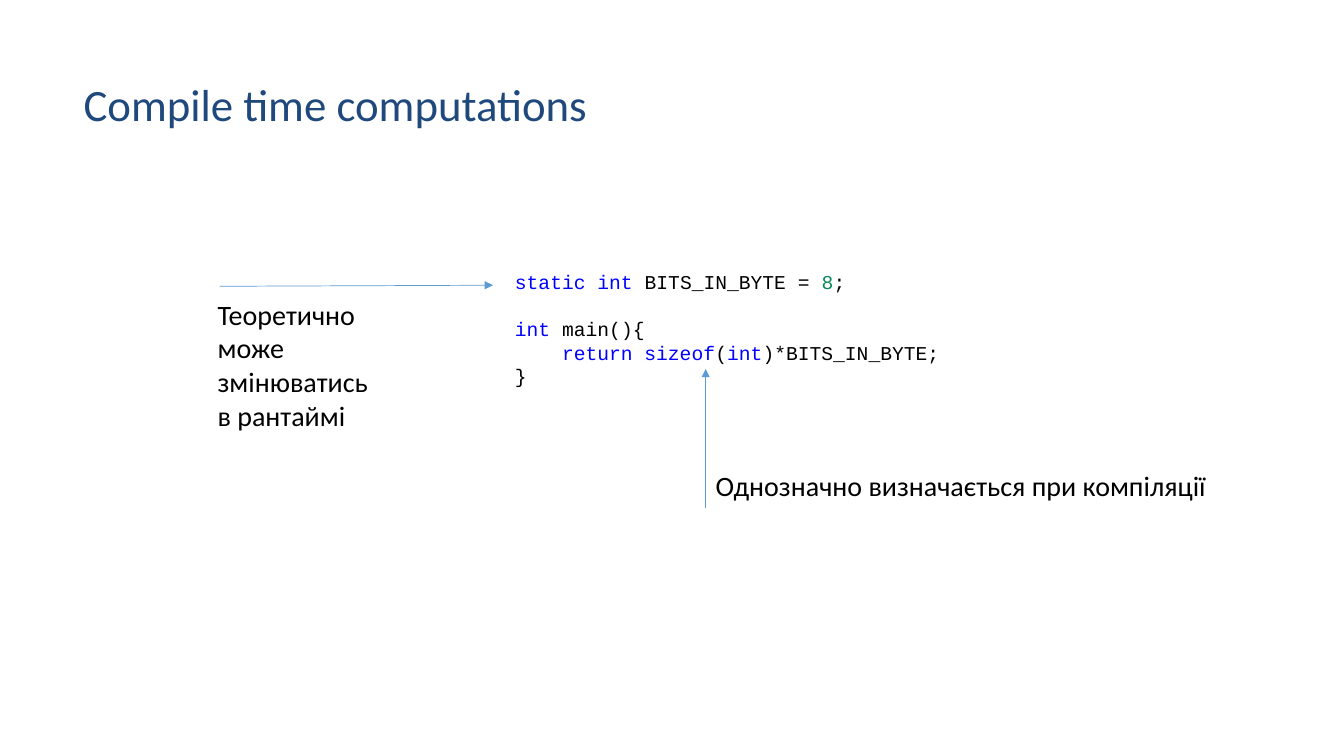
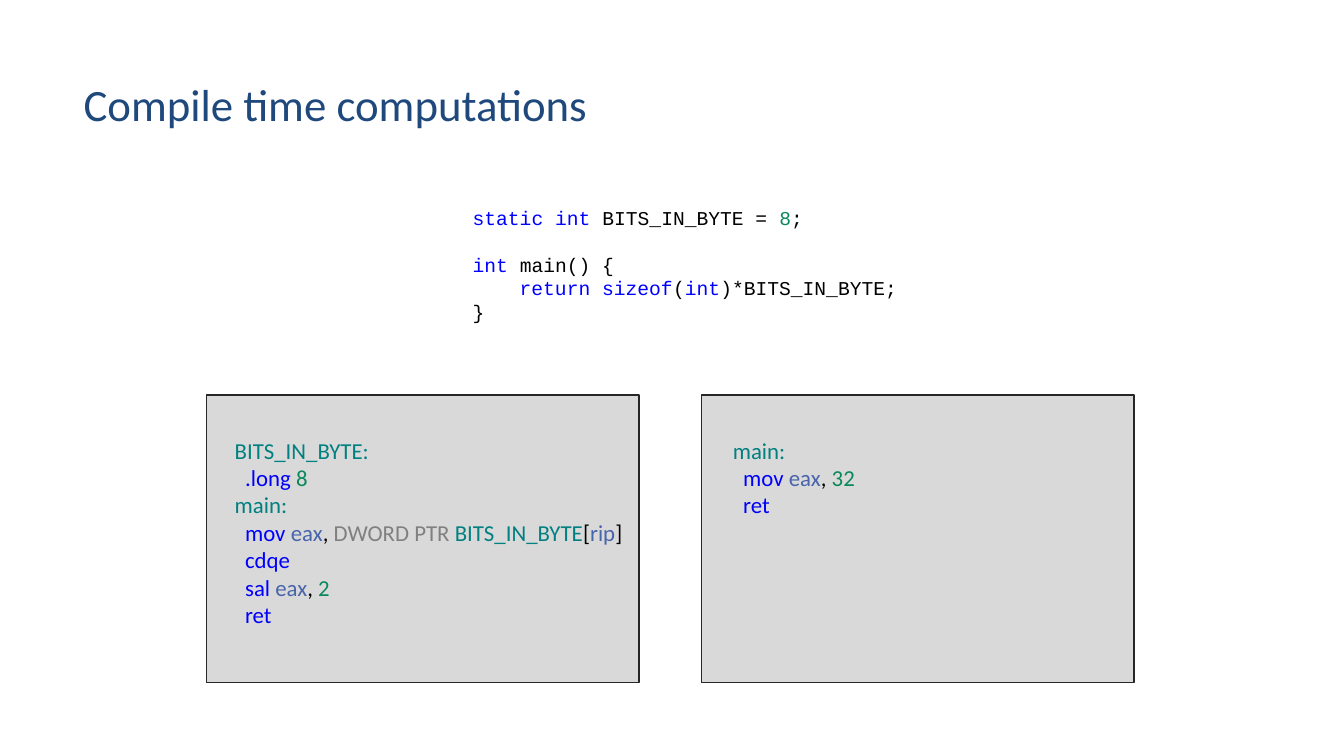
from dataclasses import dataclass

from lxml.etree import SubElement
from pptx import Presentation
from pptx.dml.color import RGBColor as RGB
from pptx.enum.shapes import MSO_CONNECTOR as Conn, MSO_SHAPE as Shape
from pptx.enum.text import MSO_AUTO_SIZE as AutoSize
from pptx.oxml.ns import qn
from pptx.slide import Slide
from pptx.util import Emu, Inches, Pt

COLORS = {
    "title": "1F497D", "text": "000000", "keyword": "0000FF", "number": "09885A",
    "label": "008080", "register": "4864AA", "size": "808080",
    "arrow": "5B9BD5", "panel": "D9D9D9", "border": "262626",
}
WIDTH, HEIGHT = Inches(13.33), Inches(7.5)
GRID = 100  # columns and rows on a slide


@dataclass(frozen=True)
class Box:
    """A place on the grid: column, row, and the columns and rows it spans."""
    col: float
    row: float
    cols: float
    rows: float


@dataclass(frozen=True)
class Style:
    font: str
    size: float
    indent: float = 0  # points per indent level
    leading: float | None = None  # exact line height in points


@dataclass(frozen=True)
class Line:
    """One paragraph, made of (colour name, text) runs."""
    runs: tuple[tuple[str, str], ...]
    level: int = 0
    gap: float = 0  # points above


@dataclass(frozen=True)
class Arrow:
    start: tuple[float, float]
    end: tuple[float, float]


@dataclass(frozen=True)
class Panel:
    box: Box
    text_box: Box
    lines: list[Line]


TITLE = Style("Calibri", 32)
NOTE = Style("Calibri", 20)
CODE = Style("Courier New", 14, indent=33.6, leading=16.8)
ASM = Style("Calibri", 16.3, indent=7.4)


def x(cols: float) -> Emu:
    return Emu(round(WIDTH * cols / GRID))


def y(rows: float) -> Emu:
    return Emu(round(HEIGHT * rows / GRID))


def place(box: Box) -> tuple[Emu, Emu, Emu, Emu]:
    return x(box.col), y(box.row), x(box.cols), y(box.rows)


def color(name: str) -> RGB:
    return RGB.from_string(COLORS[name])


def add_text(s: Slide, box: Box, style: Style, lines: list[Line], wrap: bool = True) -> None:
    tf = s.shapes.add_textbox(*place(box)).text_frame
    tf.word_wrap = wrap
    tf.auto_size = AutoSize.SHAPE_TO_FIT_TEXT
    for i, line in enumerate(lines):
        p = tf.add_paragraph() if i else tf.paragraphs[0]
        p.space_before = Pt(line.gap)
        if style.leading:
            p.line_spacing = Pt(style.leading)
        if line.level:
            p._p.get_or_add_pPr().set("marL", str(Pt(style.indent * line.level)))
        for name, text in line.runs:
            r = p.add_run()
            r.text = text
            r.font.name, r.font.size = style.font, Pt(style.size)
            r.font.color.rgb = color(name)


def add_note(s: Slide, box: Box, text: str, wrap: bool = True) -> None:
    add_text(s, box, NOTE, [Line((("text", text),))], wrap)


def add_arrow(s: Slide, arrow: Arrow) -> None:
    (x1, y1), (x2, y2) = arrow.start, arrow.end
    c = s.shapes.add_connector(Conn.STRAIGHT, x(x1), y(y1), x(x2), y(y2))
    c.line.color.rgb, c.line.width = color("arrow"), Pt(0.5)
    SubElement(c.line._get_or_add_ln(), qn("a:tailEnd"), type="triangle")
    SubElement(c._element.spPr, qn("a:effectLst"))


def add_panel(s: Slide, panel: Panel) -> None:
    sp = s.shapes.add_shape(Shape.RECTANGLE, *place(panel.box))
    sp.shadow.inherit = False
    sp.fill.solid()
    sp.fill.fore_color.rgb = color("panel")
    sp.line.color.rgb, sp.line.width = color("border"), Pt(1)
    add_text(s, panel.text_box, ASM, panel.lines)


def new_slide(prs: Presentation) -> Slide:
    """A blank slide with the shared title."""
    s = prs.slides.add_slide(prs.slide_layouts[6])
    title = Line((("title", "Compile time computations"),))
    add_text(s, Box(5.48, 9.47, 39.46, 8.53), TITLE, [title], wrap=False)
    return s


def source_code(signature: str) -> list[Line]:
    return [
        Line((("keyword", "static int"), ("text", " BITS_IN_BYTE = "),
              ("number", "8"), ("text", ";"))),
        Line((("keyword", "int"), ("text", f" {signature}")), gap=CODE.leading),
        Line((("keyword", "return sizeof"), ("text", "("), ("keyword", "int"),
              ("text", ")*BITS_IN_BYTE;")), level=1),
        Line((("text", "}"),)),
    ]


# Assembly listings
MAIN = Line((("label", "main:"),))
RET = Line((("keyword", "ret"),), level=1)
RUNTIME_ASM = [
    Line((("label", "BITS_IN_BYTE:"),)),
    Line((("keyword", ".long "), ("number", "8")), level=1),
    MAIN,
    Line((("keyword", "mov "), ("register", "eax"), ("text", ", "),
          ("size", "DWORD PTR "), ("label", "BITS_IN_BYTE"),
          ("text", "["), ("register", "rip"), ("text", "]")), level=1),
    Line((("keyword", "cdqe"),), level=1),
    Line((("keyword", "sal "), ("register", "eax"), ("text", ", "),
          ("number", "2")), level=1),
    RET,
]
CONSTANT_ASM = [
    MAIN,
    Line((("keyword", "mov "), ("register", "eax"), ("text", ", "),
          ("number", "32")), level=1),
    RET,
]
PANELS = [
    Panel(Box(15.38, 52.27, 32.18, 38), Box(16.73, 57.07, 30.83, 26.93), RUNTIME_ASM),
    Panel(Box(52.21, 52.27, 32.18, 38), Box(53.79, 57.07, 24.46, 12.4), CONSTANT_ASM),
]
ARROWS = [
    Arrow((16.35, 37.87), (36.68, 37.73)),
    Arrow((52.51, 67.2), (52.51, 48.8)),
]


def build_notes_slide(prs: Presentation) -> None:
    s = new_slide(prs)
    add_text(s, Box(37.58, 35.07, 35.26, 17.07), CODE, source_code("main(){"))
    for arrow in ARROWS:
        add_arrow(s, arrow)
    add_note(s, Box(52.51, 61.33, 38.33, 5.87),
             "Однозначно визначається при компіляції", wrap=False)
    add_note(s, Box(15.45, 38.67, 12.98, 19.33),
             "Теоретично може змінюватись в рантаймі")


def build_assembly_slide(prs: Presentation) -> None:
    s = new_slide(prs)
    add_text(s, Box(34.43, 26.53, 38.63, 17.07), CODE, source_code("main() {"))
    for panel in PANELS:
        add_panel(s, panel)


def main() -> None:
    prs = Presentation()
    prs.slide_width, prs.slide_height = WIDTH, HEIGHT
    build_notes_slide(prs)
    build_assembly_slide(prs)
    prs.save("out.pptx")


if __name__ == "__main__":
    main()
